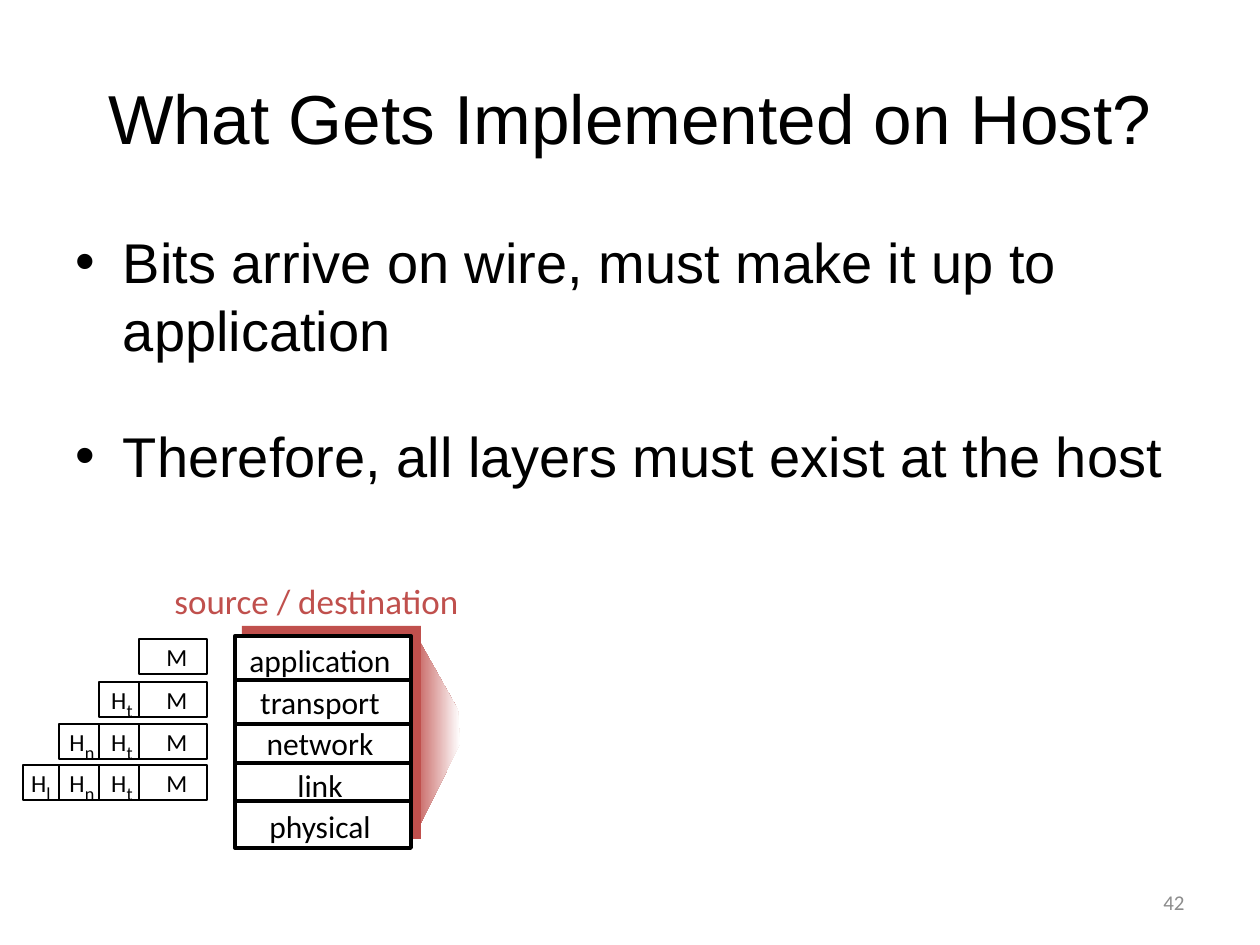
from lxml.etree import SubElement
from pptx import Presentation
from pptx.dml.color import RGBColor
from pptx.enum.shapes import MSO_CONNECTOR, MSO_SHAPE
from pptx.enum.text import MSO_ANCHOR, MSO_AUTO_SIZE, PP_ALIGN
from pptx.oxml.ns import qn
from pptx.util import Pt

EMU_PER_PX = 914400 / 126
BLACK = RGBColor(0x00, 0x00, 0x00)
WHITE = RGBColor(0xFF, 0xFF, 0xFF)
RED = RGBColor(0xC0, 0x50, 0x4D)
GRAY = RGBColor(0x8C, 0x8C, 0x8C)

LAYERS = ["application", "transport", "network", "link", "physical"]
# Header letter, subscript, left edge and text centre, from the left of the packets
CELLS = [("H", "l", 0, 18), ("H", "n", 36, 59), ("H", "t", 76, 99), ("M", "", 116, 154)]


def px(length):
    return round(length * EMU_PER_PX)


def format_text(text_frame, lines, size, font="Calibri", color=BLACK, align=PP_ALIGN.LEFT,
                anchor=MSO_ANCHOR.TOP, wrap=True, line_spacing=None, gap=0, subscript=""):
    text_frame.word_wrap = wrap
    text_frame.auto_size = MSO_AUTO_SIZE.NONE
    text_frame.vertical_anchor = anchor
    for index, line in enumerate(lines):
        paragraph = text_frame.paragraphs[0] if index == 0 else text_frame.add_paragraph()
        paragraph.alignment = align
        paragraph.space_before = Pt(gap if index else 0)
        if line_spacing:
            paragraph.line_spacing = line_spacing
        run = paragraph.add_run()
        run.text = line
        runs = [(run, size)]
        if subscript:
            run = paragraph.add_run()
            run.text = subscript
            run.font._element.set("baseline", "-25000")
            runs.append((run, 18))
        for run, run_size in runs:
            run.font.size = Pt(run_size)
            run.font.name = font
            run.font.color.rgb = color


def add_text(slide, box, lines, size, **text_format):
    text_box = slide.shapes.add_textbox(*map(px, box))
    format_text(text_box.text_frame, lines, size, **text_format)


def add_box(slide, box, fill, line_width=None):
    shape = slide.shapes.add_shape(MSO_SHAPE.RECTANGLE, *map(px, box))
    shape.shadow.inherit = False
    shape.fill.solid()
    shape.fill.fore_color.rgb = fill
    if line_width:
        shape.line.color.rgb = BLACK
        shape.line.width = Pt(line_width)
    else:
        shape.line.fill.background()


def add_line(slide, start, end, width):
    connector = slide.shapes.add_connector(MSO_CONNECTOR.STRAIGHT, *map(px, start + end))
    connector.line.color.rgb = BLACK
    connector.line.width = Pt(width)
    SubElement(connector._element.spPr, qn("a:effectLst"))


def fill_placeholder(placeholder, box, lines, size, **text_format):
    placeholder.left, placeholder.top, placeholder.width, placeholder.height = map(px, box)
    format_text(placeholder.text_frame, lines, size, font="Arial", **text_format)


def add_wire_funnel(slide, left, top):
    outline = [(47, 84), (0, 0), (0, 217), (49, 118)]
    points = [(px(left + x), px(top + y)) for x, y in outline]
    builder = slide.shapes.build_freeform(*points[0])
    builder.add_line_segments(points[1:], close=True)
    funnel = builder.convert_to_shape()
    funnel.shadow.inherit = False
    funnel.line.fill.background()
    funnel.fill.gradient()
    funnel.fill.gradient_angle = 0
    for stop, color, position in zip(funnel.fill.gradient_stops, (RED, WHITE), (0, 1)):
        stop.color.rgb = color
        stop.position = position


def add_layer_stack(slide, left, top, width, height):
    add_text(slide, (left - 73, top - 63, 312, 55), ["source / destination"], 20,
             color=RED, wrap=False)
    add_wire_funnel(slide, left + width, top - 10)
    add_box(slide, (left + 7, top - 10, width + 3, height + 1), RED)
    add_box(slide, (left, top, width, height), WHITE, 2.25)
    for offset in (44, 88, 127, 165):
        add_line(slide, (left, top + offset), (left + width, top + offset), 2.25)
    add_text(slide, (left - 6, top - 5, width + 6, height + 9), LAYERS, 18,
             align=PP_ALIGN.CENTER, line_spacing=1.1)


def add_packet(slide, left, top, width, height, cells):
    """Draw one message with its headers; left is the edge of the longest packet."""
    first_edge = cells[0][2]
    add_box(slide, (left + first_edge, top, width - first_edge, height), WHITE, 0.75)
    for letter, subscript, edge, centre in cells:
        if edge > first_edge:
            add_line(slide, (left + edge, top), (left + edge, top + height), 0.75)
        add_text(slide, (left + centre - 20, top - 3, 40, 41), [letter], 14,
                 subscript=subscript, align=PP_ALIGN.CENTER, anchor=MSO_ANCHOR.MIDDLE, wrap=False)


def add_packets(slide, left, top, width):
    for index, offset in enumerate((0, 43, 85, 126)):
        add_packet(slide, left, top + offset, width, 35, CELLS[-1 - index:])


def main():
    presentation = Presentation()
    presentation.slide_width, presentation.slide_height = px(1260), px(945)
    slide = presentation.slides.add_slide(presentation.slide_layouts[1])
    fill_placeholder(slide.shapes.title, (63, 38, 1134, 158),
                     ["What Gets Implemented on Host?"], 39.6,
                     align=PP_ALIGN.CENTER, anchor=MSO_ANCHOR.MIDDLE)
    fill_placeholder(slide.placeholders[1], (63, 220, 1134, 624),
                     ["Bits arrive on wire, must make it up to application",
                      "Therefore, all layers must exist at the host"], 32,
                     line_spacing=Pt(39), gap=33)
    add_layer_stack(slide, 235, 636, 176, 212)
    add_packets(slide, 23, 639, 184)
    add_text(slide, (903, 877, 294, 50), ["42"], 12, color=GRAY,
             align=PP_ALIGN.RIGHT, anchor=MSO_ANCHOR.MIDDLE)
    presentation.save("out.pptx")


if __name__ == "__main__":
    main()
